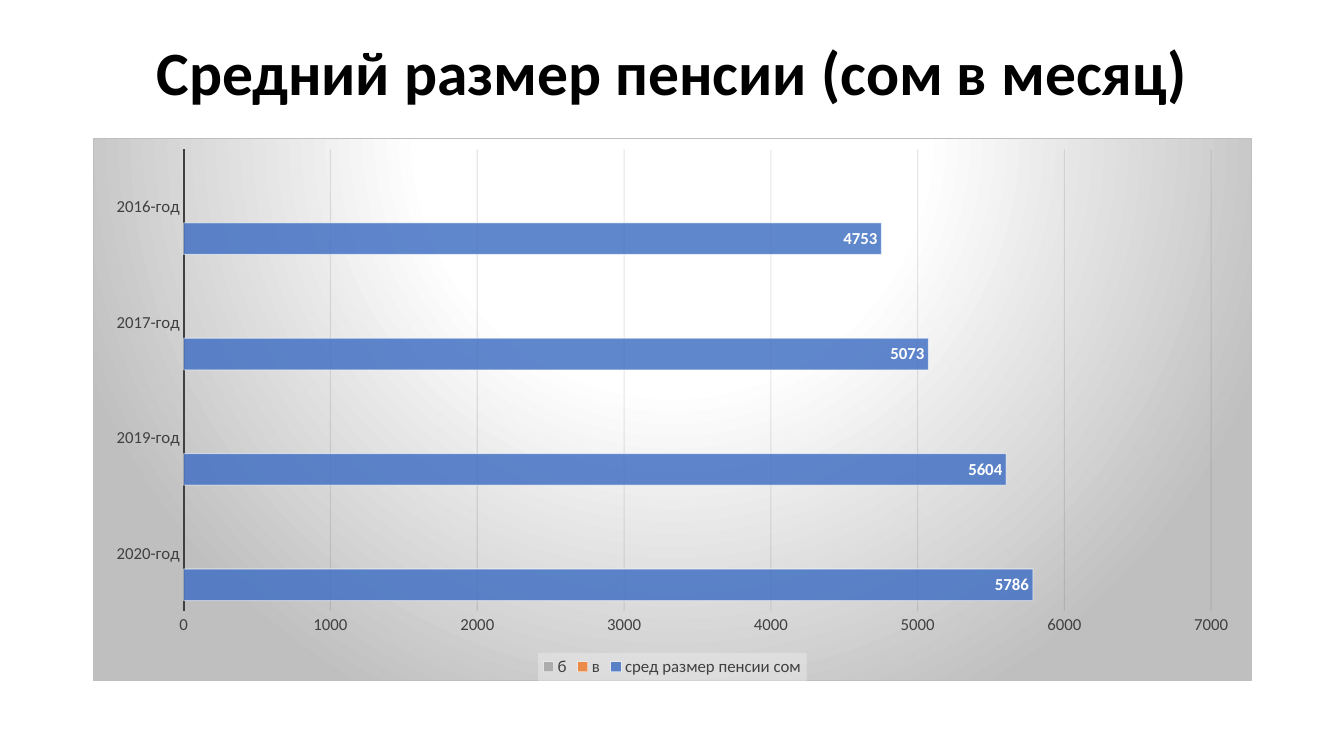
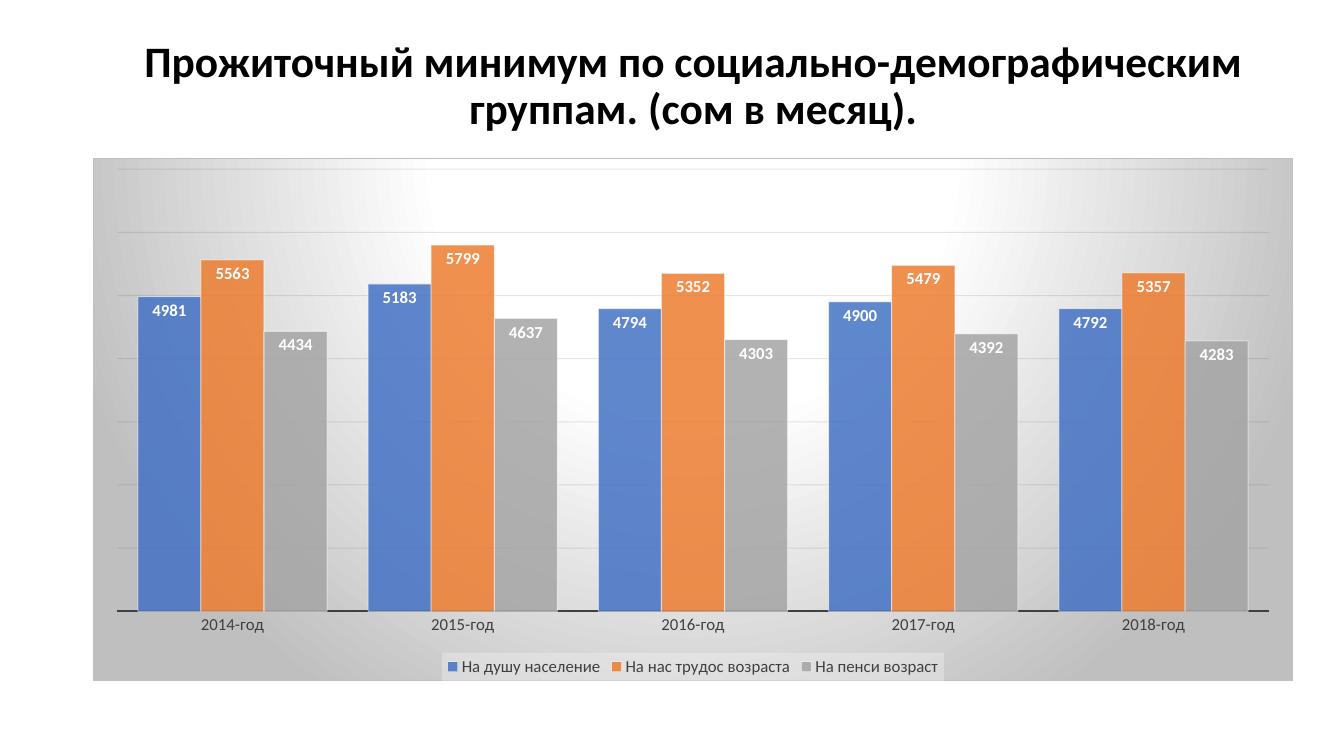
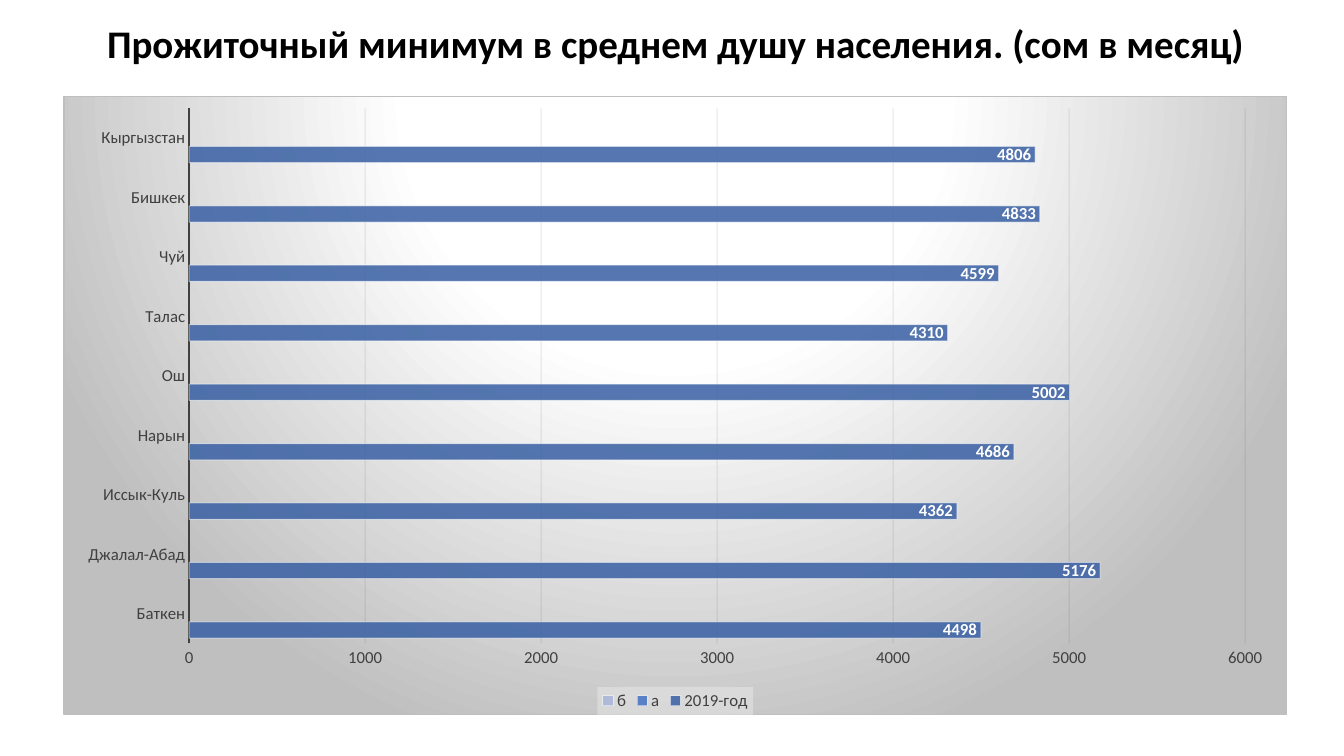
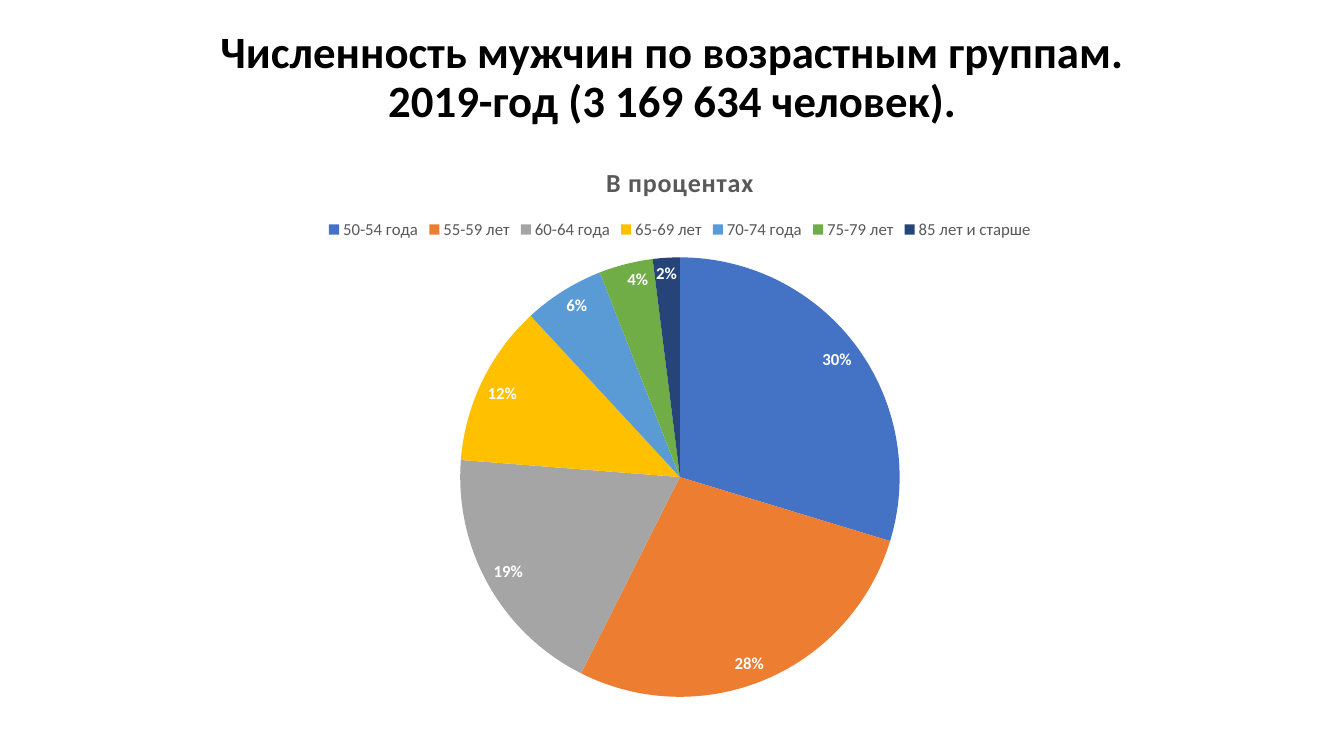
from dataclasses import dataclass

from pptx import Presentation
from pptx.chart.data import CategoryChartData
from pptx.dml.color import RGBColor
from pptx.enum.chart import XL_CHART_TYPE as Kind
from pptx.enum.chart import XL_LABEL_POSITION as LabelPos
from pptx.enum.chart import XL_LEGEND_POSITION as LegendPos
from pptx.enum.chart import XL_TICK_MARK as Tick
from pptx.enum.text import MSO_ANCHOR as Anchor
from pptx.enum.text import PP_ALIGN as Align
from pptx.oxml import parse_xml
from pptx.oxml.ns import nsdecls, qn
from pptx.util import Cm, Pt


@dataclass(frozen=True)
class Theme:
    """Colours and type sizes shared by the slides."""
    font: str = "Calibri"
    black: str = "000000"
    white: str = "FFFFFF"
    axis: str = "404040"
    caption: str = "595959"
    grid: str = "0D0D0D"
    edge: str = "BFBFBF"
    legend_back: str = "F2F2F2"
    accents: tuple = ("4472C4", "ED7D31", "A5A5A5", "FFC000",
                      "5B9BD5", "70AD47", "264478")
    blues: tuple = ("385FA3", "4472C4", "A8B5DB")
    label_size: float = 12
    caption_size: float = 18.6


THEME = Theme()


@dataclass(frozen=True)
class Box:
    """A region of a slide, in centimetres."""
    left: float
    top: float
    width: float
    height: float

    def lengths(self):
        """Return the four lengths for a python-pptx call."""
        return Cm(self.left), Cm(self.top), Cm(self.width), Cm(self.height)


def style_font(font, color, size=THEME.label_size, bold=False):
    """Set face, colour, size and weight of a font."""
    font.name, font.size, font.bold = THEME.font, Pt(size), bold
    font.color.rgb = RGBColor.from_string(color)


def write_text(frame, text, *, size, color=THEME.black, bold=True,
               spacing=None, tracking=None):
    """Write one centred paragraph; a line feed becomes a line break."""
    para = frame.paragraphs[0]
    para.text = text
    para.alignment = Align.CENTER
    if spacing:
        para.line_spacing = spacing
    for span in para.runs:
        style_font(span.font, color, size, bold)
        if tracking:
            span._r.get_or_add_rPr().set("spc", str(tracking))


def add_title(page, box, text, size):
    """Place the slide heading in its box."""
    frame = page.shapes.add_textbox(*box.lengths()).text_frame
    frame.word_wrap = True
    frame.vertical_anchor = Anchor.MIDDLE
    write_text(frame, text, size=size, spacing=0.9)


def fill_color(fill, color):
    """Make a fill solid."""
    fill.solid()
    fill.fore_color.rgb = RGBColor.from_string(color)


def draw_line(line, color, width):
    """Give a line its colour and width in points."""
    fill_color(line.fill, color)
    line.width = Pt(width)


def fade(node, where, percent):
    """Set the opacity of the colours found below a chart element."""
    for color in node.xpath(where + "/a:srgbClr"):
        color.append(parse_xml(
            f'<a:alpha {nsdecls("a")} val="{percent * 1000}"/>'))


def add_backdrop(chart):
    """Fill the chart area with a round white to grey gradient."""
    stops = "".join(
        f'<a:gs pos="{place * 1000}"><a:srgbClr val="{color}"/></a:gs>'
        for place, color in ((0, THEME.white), (39, THEME.white),
                             (100, THEME.edge)))
    chart._chartSpace.find(qn("c:chart")).addnext(parse_xml(
        f'<c:spPr {nsdecls("c", "a")}><a:gradFill><a:gsLst>{stops}</a:gsLst>'
        '<a:path path="circle"><a:fillToRect l="50000" t="-80000" '
        'r="50000" b="180000"/></a:path></a:gradFill>'
        f'<a:ln w="{Pt(0.75)}"><a:solidFill><a:srgbClr val="{THEME.edge}"/>'
        '</a:solidFill></a:ln></c:spPr>'))


def add_legend(chart, position, color):
    """Show the legend outside the plot."""
    chart.has_legend = True
    chart.legend.position = position
    chart.legend.include_in_layout = False
    style_font(chart.legend.font, color)
    return chart.legend


def add_labels(series, percent=False):
    """Put bold white labels inside the ends of bars or slices."""
    labels = series.data_labels
    labels.show_value = not percent
    labels.show_percentage = percent
    if percent:
        labels.number_format = "0%"
        labels.number_format_is_linked = False
    labels.position = LabelPos.INSIDE_END
    style_font(labels.font, THEME.white, bold=True)


def add_chart(page, box, kind, categories, series_values):
    """Add a chart with the shared font and return it."""
    data = CategoryChartData()
    data.categories = categories
    for name, values in series_values.items():
        data.add_series(name, values)
    chart = page.shapes.add_chart(kind, *box.lengths(), data).chart
    style_font(chart.font, THEME.black, 10)
    chart.has_title = False
    return chart


def style_axes(chart, top, show_values):
    """Style both axes and the faint gridlines."""
    category, value = chart.category_axis, chart.value_axis
    for axis in (category, value):
        axis.major_tick_mark = axis.minor_tick_mark = Tick.NONE
        style_font(axis.tick_labels.font, THEME.axis)
    draw_line(category.format.line, THEME.axis, 1.5)
    value.minimum_scale, value.maximum_scale, value.major_unit = 0, top, 1000
    value.visible = show_values
    value.format.line.fill.background()
    value.has_major_gridlines = True
    draw_line(value.major_gridlines.format.line, THEME.grid, 0.75)
    fade(value._element, "c:majorGridlines//a:solidFill", 10)


def add_bars(page, box, kind, categories, series_values, top,
             colors=THEME.accents, show_values=True):
    """Place a bar or column chart on the grey backdrop."""
    chart = add_chart(page, box, kind, categories, series_values)
    add_backdrop(chart)
    style_axes(chart, top, show_values)
    plot = chart.plots[0]
    plot.gap_width, plot.vary_by_categories = 65, False
    for series, color in zip(plot.series, colors):
        series.invert_if_negative = False
        fill_color(series.format.fill, color)
        draw_line(series.format.line, THEME.white, 0.75)
        fade(series._element, "c:spPr/a:solidFill", 85)
        fade(series._element, "c:spPr/a:ln/a:solidFill", 50)
        add_labels(series)
    legend = add_legend(chart, LegendPos.BOTTOM, THEME.axis)
    legend._element.find(qn("c:overlay")).addnext(parse_xml(
        f'<c:spPr {nsdecls("c", "a")}><a:solidFill>'
        f'<a:srgbClr val="{THEME.legend_back}"><a:alpha val="39000"/>'
        '</a:srgbClr></a:solidFill></c:spPr>'))


def add_pie(page, box, caption, shares):
    """Place a pie chart with its caption and a legend on top."""
    chart = add_chart(page, box, Kind.PIE, list(shares),
                      {caption: list(shares.values())})
    chart.has_title = True
    write_text(chart.chart_title.text_frame, caption, tracking=50,
               size=THEME.caption_size, color=THEME.caption)
    add_legend(chart, LegendPos.TOP, THEME.caption)
    plot = chart.plots[0]
    plot.vary_by_categories = True
    series = plot.series[0]
    for index, color in enumerate(THEME.accents):
        fill_color(series.points[index].format.fill, color)
    add_labels(series, percent=True)


def pension_slide(page):
    """Average pension by year."""
    add_title(page, Box(2.34, 0.69, 29.21, 2.41),
              "Средний размер пенсии (сом в месяц)", 44)
    pensions = {"2020-год": 5786, "2019-год": 5604,
                "2017-год": 5073, "2016-год": 4753}
    empty = [None] * len(pensions)
    add_bars(page, Box(2.34, 3.48, 29.21, 13.69), Kind.BAR_CLUSTERED,
             list(pensions),
             {"сред размер пенсии сом": list(pensions.values()),
              "в": empty, "б": empty}, top=7000)


def group_minimum_slide(page):
    """Living wage of three population groups by year."""
    add_title(page, Box(2.34, 0.38, 30.25, 3.61),
              "Прожиточный минимум по социально-демографическим группам. "
              "(сом в месяц).", 31)
    add_bars(page, Box(2.34, 3.99, 30.25, 13.18), Kind.COLUMN_CLUSTERED,
             [f"{year}-год" for year in range(2014, 2019)],
             {"На душу население": [4981, 5183, 4794, 4900, 4792],
              "На нас трудос возраста": [5563, 5799, 5352, 5479, 5357],
              "На пенси возраст": [4434, 4637, 4303, 4392, 4283]},
             top=7000, show_values=False)


def region_minimum_slide(page):
    """Living wage by region."""
    add_title(page, Box(1.6, 0.18, 30.84, 1.96),
              "Прожиточный минимум в среднем душу населения. "
              "(сом в месяц)", 27.9)
    regions = {"Баткен": 4498, "Джалал-Абад": 5176, "Иссык-Куль": 4362,
               "Нарын": 4686, "Ош": 5002, "Талас": 4310, "Чуй": 4599,
               "Бишкек": 4833, "Кыргызстан": 4806}
    empty = [None] * len(regions)
    add_bars(page, Box(1.6, 2.41, 30.84, 15.62), Kind.BAR_CLUSTERED,
             list(regions),
             {"2019-год": list(regions.values()), "а": empty, "б": empty},
             top=6000, colors=THEME.blues)


def men_by_age_slide(page):
    """Shares of men by age group."""
    add_title(page, Box(2.34, 0.38, 29.21, 3.2),
              "Численность мужчин по возрастным группам.\n"
              "2019-год (3\u00a0169 634 человек).", 32)
    add_pie(page, Box(1.45, 3.61, 31.37, 14.3), "В процентах",
            {"50-54 года": 30, "55-59 лет": 28, "60-64 года": 19,
             "65-69 лет": 12, "70-74 года": 6, "75-79 лет": 4,
             "85 лет и старше": 2})


def build():
    """Build and save the deck."""
    deck = Presentation()
    deck.slide_width, deck.slide_height = Cm(33.87), Cm(19.05)
    for fill_page in (pension_slide, group_minimum_slide,
                      region_minimum_slide, men_by_age_slide):
        fill_page(deck.slides.add_slide(deck.slide_layouts[6]))
    deck.save("out.pptx")


build()
